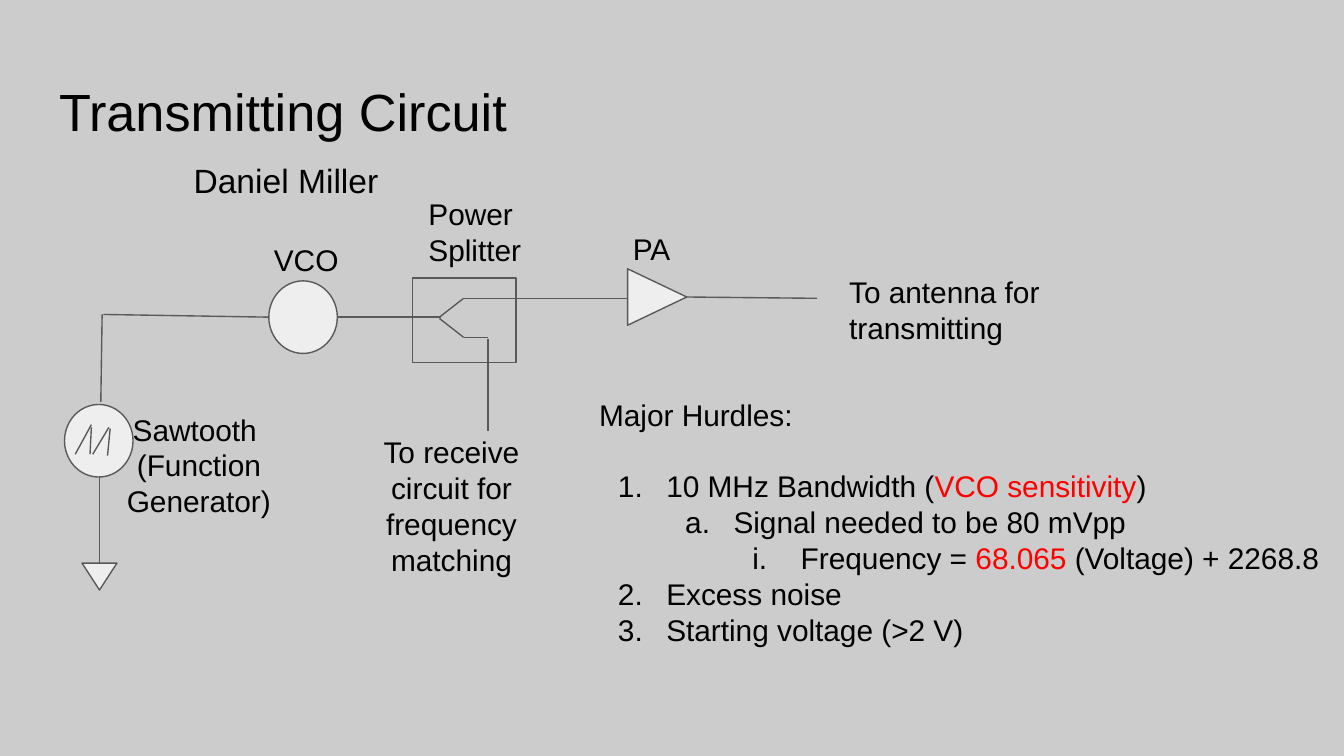
from lxml import etree
from pptx import Presentation
from pptx import util as u
from pptx.dml.color import RGBColor
from pptx.enum import shapes, text
from pptx.oxml import ns

BLACK, RED = "000000", "FF0000"
PAPER, PART, WIRE = "CCCCCC", "EEEEEE", "595959"
SHAPE, ALIGN = shapes.MSO_SHAPE, text.PP_ALIGN


def color(hex_value):
    """Turn a hex string into a colour."""
    return RGBColor.from_string(hex_value)


def add_run(paragraph, words, size=16, ink=BLACK):
    """Add one formatted run."""
    run = paragraph.add_run()
    run.text = words
    run.font.name = "Arial"
    run.font.size = u.Pt(size)
    run.font.color.rgb = color(ink)


def set_frame(frame):
    """Give a text frame even insets, wrapping and a top anchor."""
    frame.word_wrap = True
    frame.auto_size = text.MSO_AUTO_SIZE.NONE
    frame.vertical_anchor = text.MSO_ANCHOR.TOP
    frame.margin_left = frame.margin_right = u.Inches(0.1)
    frame.margin_top = frame.margin_bottom = u.Inches(0.1)


def add_label(slide, box, *lines, align=ALIGN.LEFT):
    """Add a text box with one paragraph for each line."""
    frame = slide.shapes.add_textbox(*map(u.Inches, box)).text_frame
    set_frame(frame)
    for number, line in enumerate(lines):
        paragraph = frame.add_paragraph() if number else frame.paragraphs[0]
        paragraph.alignment = align
        add_run(paragraph, line)


def add_part(slide, kind, box, fill=PART, line=WIRE, rotation=0):
    """Add a circuit symbol or panel."""
    part = slide.shapes.add_shape(kind, *map(u.Inches, box))
    part.shadow.inherit = False
    part.rotation = rotation
    if fill:
        part.fill.solid()
        part.fill.fore_color.rgb = color(fill)
    else:
        part.fill.background()
    if line:
        part.line.color.rgb = color(line)
        part.line.width = u.Pt(0.75)
    else:
        part.line.fill.background()
    return part


def add_wires(slide, left, top, wires):
    """Draw wires whose ends are relative to a corner."""
    for x1, y1, x2, y2 in wires:
        ends = (left + x1, top + y1, left + x2, top + y2)
        wire = slide.shapes.add_connector(
            shapes.MSO_CONNECTOR.STRAIGHT, *map(u.Inches, ends))
        wire.line.color.rgb = color(WIRE)
        wire.line.width = u.Pt(0.75)
        etree.SubElement(wire._element.spPr, ns.qn("a:effectLst"))


def add_heading(slide, left, top, width, height):
    """Place the title with the presenter's name below it."""
    title = slide.shapes.title
    title.left, title.top = u.Inches(left), u.Inches(top)
    title.width, title.height = u.Inches(width), u.Inches(height)
    frame = title.text_frame
    set_frame(frame)
    topic = frame.paragraphs[0]
    add_run(topic, "Transmitting Circuit", 28)
    presenter = frame.add_paragraph()
    presenter._p.get_or_add_pPr().set("marL", str(u.Inches(1)))
    presenter.space_before = u.Pt(9.5)
    add_run(presenter, "Daniel Miller", 18)
    for paragraph in frame.paragraphs:
        paragraph.alignment = ALIGN.LEFT


def add_generator(slide, left, top):
    """Draw the grounded sawtooth generator and its lead to the VCO."""
    add_part(slide, SHAPE.OVAL, (left, top, 0.51, 0.54))
    add_wires(slide, left, top, [
        (0.08, 0.37, 0.2, 0.15), (0.2, 0.17, 0.19, 0.37),
        (0.21, 0.37, 0.33, 0.17), (0.34, 0.18, 0.32, 0.38),
        (0.26, 0.53, 0.26, 1.18),
        (0.27, -0.02, 0.28, -0.67), (1.52, -0.65, 0.29, -0.67)])
    add_part(slide, SHAPE.ISOSCELES_TRIANGLE,
             (left + 0.13, top + 1.18, 0.26, 0.2), rotation=180)
    add_label(slide, (left + 0.24, top - 0.05, 1.52, 0.42),
              "Sawtooth ", "(Function Generator)", align=ALIGN.CENTER)


def add_oscillator(slide, left, top):
    """Draw the VCO and its lead to the splitter."""
    add_part(slide, SHAPE.OVAL, (left, top, 0.51, 0.54))
    add_wires(slide, left, top, [(0.51, 0.27, 1.28, 0.27)])
    add_label(slide, (left - 0.06, top - 0.39, 0.8, 0.3), "VCO")


def add_splitter(slide, left, top):
    """Draw the power splitter with its two outgoing branches."""
    add_wires(slide, left, top, [
        (0.2, 0.3, 0.38, 0.44), (0.2, 0.29, 0.38, 0.15),
        (0.38, 0.44, 0.56, 0.44), (0.56, 0.45, 0.56, 1.14),
        (0.38, 0.15, 1.6, 0.15)])
    add_part(slide, SHAPE.RECTANGLE, (left, top, 0.77, 0.63), fill=None)
    add_label(slide, (left + 0.02, top - 0.71, 0.97, 0.3), "Power Splitter")
    add_label(slide, (left - 0.41, top + 1.06, 1.4, 0.36),
              "To receive circuit for frequency matching", align=ALIGN.CENTER)


def add_amplifier(slide, left, top):
    """Draw the power amplifier and its lead to the antenna."""
    add_part(slide, SHAPE.ISOSCELES_TRIANGLE, (left, top, 0.42, 0.44), rotation=90)
    add_wires(slide, left, top, [(0.43, 0.22, 1.4, 0.23)])
    add_label(slide, (left - 0.07, top - 0.37, 0.58, 0.3), "PA")
    add_label(slide, (left + 1.54, top - 0.05, 1.96, 0.73),
              "To antenna for transmitting")


def add_hurdles(slide, left, top, width, height):
    """Place the numbered outline of hurdles."""
    schemes = ["arabicPeriod", "alphaLcPeriod", "romanLcPeriod"]
    outline = [
        (0, [("10 MHz Bandwidth (", BLACK), ("VCO sensitivity", RED), (")", BLACK)]),
        (1, [("Signal needed to be 80 mVpp", BLACK)]),
        (2, [("Frequency = ", BLACK), ("68.065", RED),
             (" (Voltage) + 2268.8", BLACK)]),
        (0, [("Excess noise", BLACK)]),
        (0, [("Starting voltage (>2 V)", BLACK)]),
    ]
    panel = add_part(slide, SHAPE.RECTANGLE, (left, top, width, height),
                     fill=PAPER, line=None)
    frame = panel.text_frame
    set_frame(frame)
    frame.paragraphs[0].alignment = ALIGN.LEFT
    add_run(frame.paragraphs[0], "Major Hurdles:")
    for number, (level, parts) in enumerate(outline):
        hurdle = frame.add_paragraph()
        hurdle.level = level
        hurdle.alignment = ALIGN.LEFT
        if number == 0:
            hurdle.space_before = u.Pt(19.2)
        properties = hurdle._p.get_or_add_pPr()
        properties.set("marL", str(u.Inches(0.5 * (level + 1))))
        properties.set("indent", str(u.Inches(-0.36)))
        etree.SubElement(properties, ns.qn("a:buAutoNum"), type=schemes[level])
        for words, ink in parts:
            add_run(hurdle, words, ink=ink)


def main():
    """Build the slide and save it."""
    deck = Presentation()
    deck.slide_width, deck.slide_height = u.Inches(10), u.Inches(10 * 9 / 16)
    slide = deck.slides.add_slide(deck.slide_layouts[5])
    slide.background.fill.solid()
    slide.background.fill.fore_color.rgb = color(PAPER)
    add_heading(slide, 0.34, 0.49, 9.32, 0.63)
    add_generator(slide, 0.48, 3.01)
    add_oscillator(slide, 2, 2.09)
    add_splitter(slide, 3.07, 2.07)
    add_amplifier(slide, 4.68, 1.99)
    add_hurdles(slide, 4.36, 2.85, 5.64, 2.04)
    deck.save("out.pptx")


if __name__ == "__main__":
    main()
